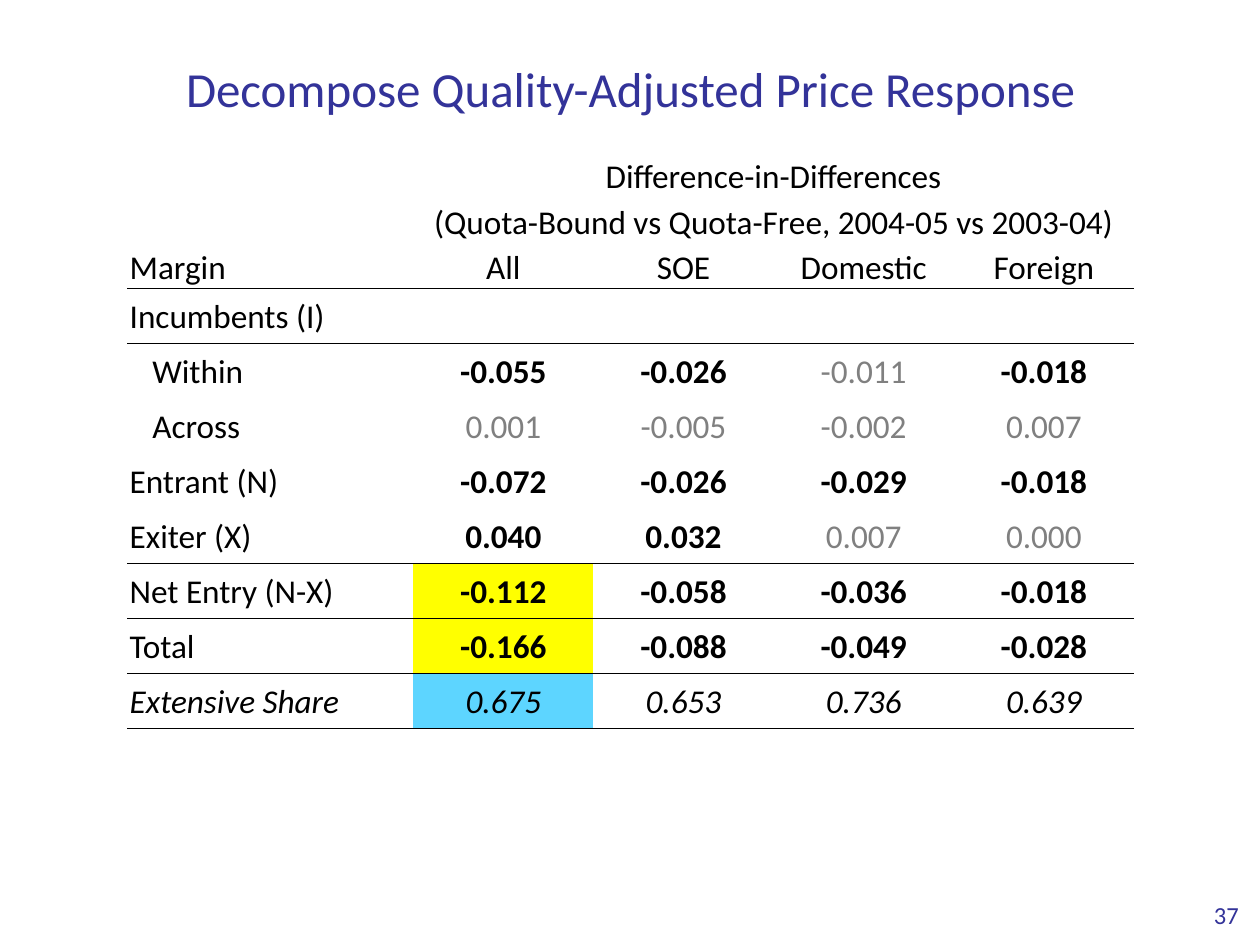
import pptx
import pptx.util
import pptx.dml.color
import pptx.enum.text
import pptx.oxml
import pptx.oxml.ns

In, Pt = pptx.util.Inches, pptx.util.Pt
RGBColor = pptx.dml.color.RGBColor
ALIGN, ANCHOR = pptx.enum.text.PP_ALIGN, pptx.enum.text.MSO_ANCHOR

NAVY = RGBColor(0x33, 0x33, 0x99)
BLACK = RGBColor(0, 0, 0)
GREY = RGBColor(0x80, 0x80, 0x80)
YELLOW = RGBColor(0xFF, 0xFF, 0)
SKY = RGBColor(0x5D, 0xD5, 0xFF)
NO_STYLE = "{2D5ABB26-0587-4C30-8999-92F81FD0307C}"


def add_run(p, text, size, color, bold=False, italic=False):
    r = p.add_run()
    r.text = text
    r.font.name, r.font.size = "Calibri", Pt(size)
    r.font.color.rgb = color
    r.font.bold, r.font.italic = bold, italic


def add_border(cell, side):
    cell._tc.get_or_add_tcPr().append(pptx.oxml.parse_xml(
        f'<a:{side} {pptx.oxml.ns.nsdecls("a")} w="6350"><a:solidFill>'
        f'<a:srgbClr val="{BLACK}"/></a:solidFill></a:{side}>'))


prs = pptx.Presentation()
prs.slide_width, prs.slide_height = In(10), In(7.5)
s = prs.slides.add_slide(prs.slide_layouts[5])

# Title
title = s.shapes.title
title.left, title.top, title.width, title.height = In(0.39), In(0.3), In(9.23), In(0.79)
title.text_frame.vertical_anchor = ANCHOR.MIDDLE
p = title.text_frame.paragraphs[0]
p.alignment = ALIGN.CENTER
add_run(p, "Decompose Quality-Adjusted Price Response", 28, NAVY)

# Page number
tf = s.shapes.add_textbox(In(9.39), In(6.86), In(0.54), In(0.52)).text_frame
tf.word_wrap = True
tf.vertical_anchor = ANCHOR.BOTTOM
tf.margin_bottom = 0
p = tf.paragraphs[0]
p.alignment = ALIGN.RIGHT
add_run(p, "37", 14, NAVY)

# Table contents
rows = [
    ["", "Difference-in-Differences", "", "", ""],
    ["", "(Quota-Bound vs Quota-Free, 2004-05 vs 2003-04)", "", "", ""],
    ["Margin", "All", "SOE", "Domestic", "Foreign"],
    ["Incumbents (I)", "", "", "", ""],
    ["Within", "-0.055", "-0.026", "-0.011", "-0.018"],
    ["Across", "0.001", "-0.005", "-0.002", "0.007"],
    ["Entrant (N)", "-0.072", "-0.026", "-0.029", "-0.018"],
    ["Exiter (X)", "0.040", "0.032", "0.007", "0.000"],
    ["Net Entry (N-X)", "-0.112", "-0.058", "-0.036", "-0.018"],
    ["Total", "-0.166", "-0.088", "-0.049", "-0.028"],
    ["Extensive Share", "0.675", "0.653", "0.736", "0.639"],
]
HEAD_ROWS, SHARE_ROW = 3, 10
ruled_below = {2, 7, 8, 9, 10}
indented = {"Within", "Across"}
insignificant = {(4, 3), (5, 1), (5, 2), (5, 3), (5, 4), (7, 3), (7, 4)}
highlights = {(8, 1): YELLOW, (9, 1): YELLOW, (10, 1): SKY}

# Table grid
head_h, body_h = In(0.36), int(In(3.49) / 8)
table = s.shapes.add_table(len(rows), 5, In(1.01), In(1.21), In(7.99), In(4.57)).table
table.first_row = table.horz_banding = False
table._tbl.tblPr.find(pptx.oxml.ns.qn("a:tableStyleId")).text = NO_STYLE
for j, column in enumerate(table.columns):
    column.width = In(1.43 if j else 2.27)
for i, row in enumerate(table.rows):
    row.height = head_h if i < HEAD_ROWS else body_h
for i in range(2):
    table.cell(i, 1).merge(table.cell(i, 4))

# Table cells
for i, texts in enumerate(rows):
    for j, text in enumerate(texts):
        cell = table.cell(i, j)
        cell.margin_left = cell.margin_right = cell.margin_top = In(0.02)
        cell.margin_bottom = 0
        cell.vertical_anchor = ANCHOR.BOTTOM if i < HEAD_ROWS else ANCHOR.MIDDLE
        if i - 1 in ruled_below:
            add_border(cell, "lnT")
        if i in ruled_below:
            add_border(cell, "lnB")
        if (i, j) in highlights:
            cell.fill.solid()
            cell.fill.fore_color.rgb = highlights[i, j]
        else:
            cell.fill.background()
        if not text:
            continue
        p = cell.text_frame.paragraphs[0]
        p.alignment = ALIGN.CENTER if j else ALIGN.LEFT
        if text in indented:
            p._p.get_or_add_pPr().set("marL", str(In(0.18)))
        grey = (i, j) in insignificant
        bold = j > 0 and HEAD_ROWS <= i < SHARE_ROW and not grey
        add_run(p, text, 19, GREY if grey else BLACK, bold, i == SHARE_ROW)

prs.save("out.pptx")
